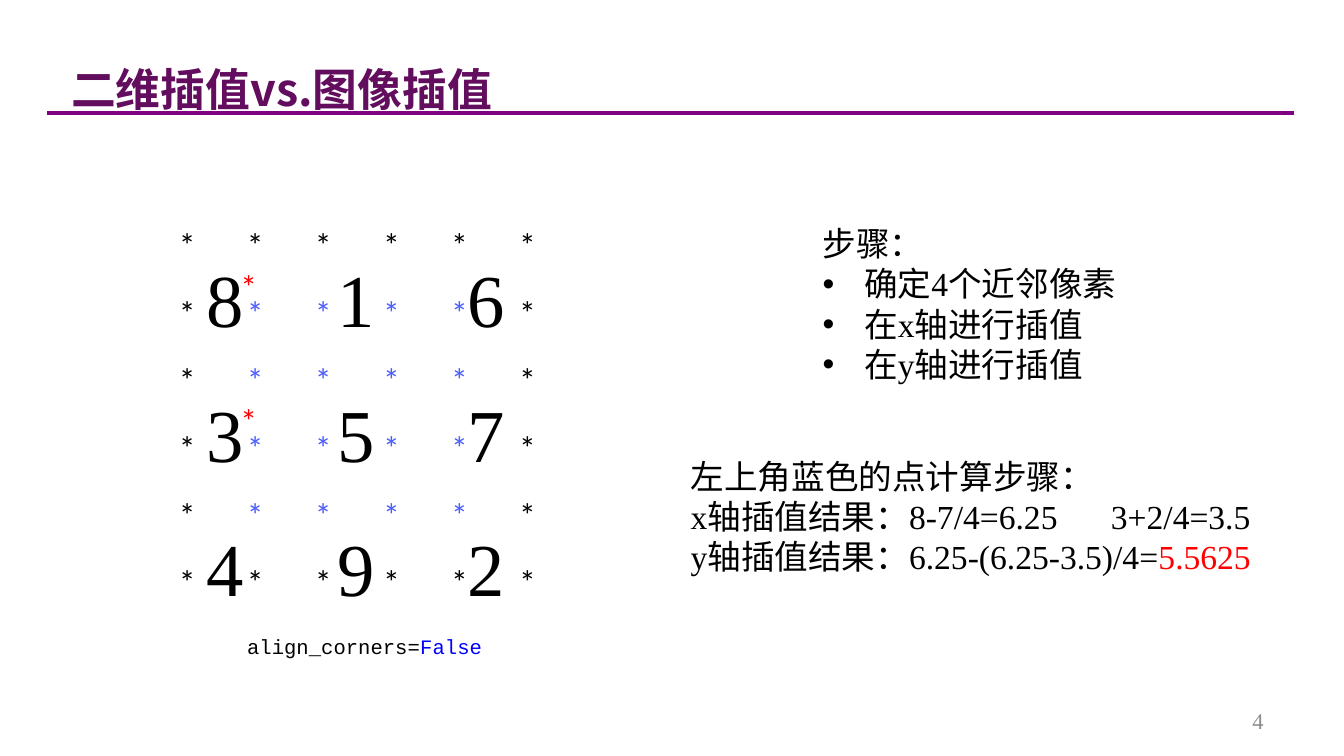
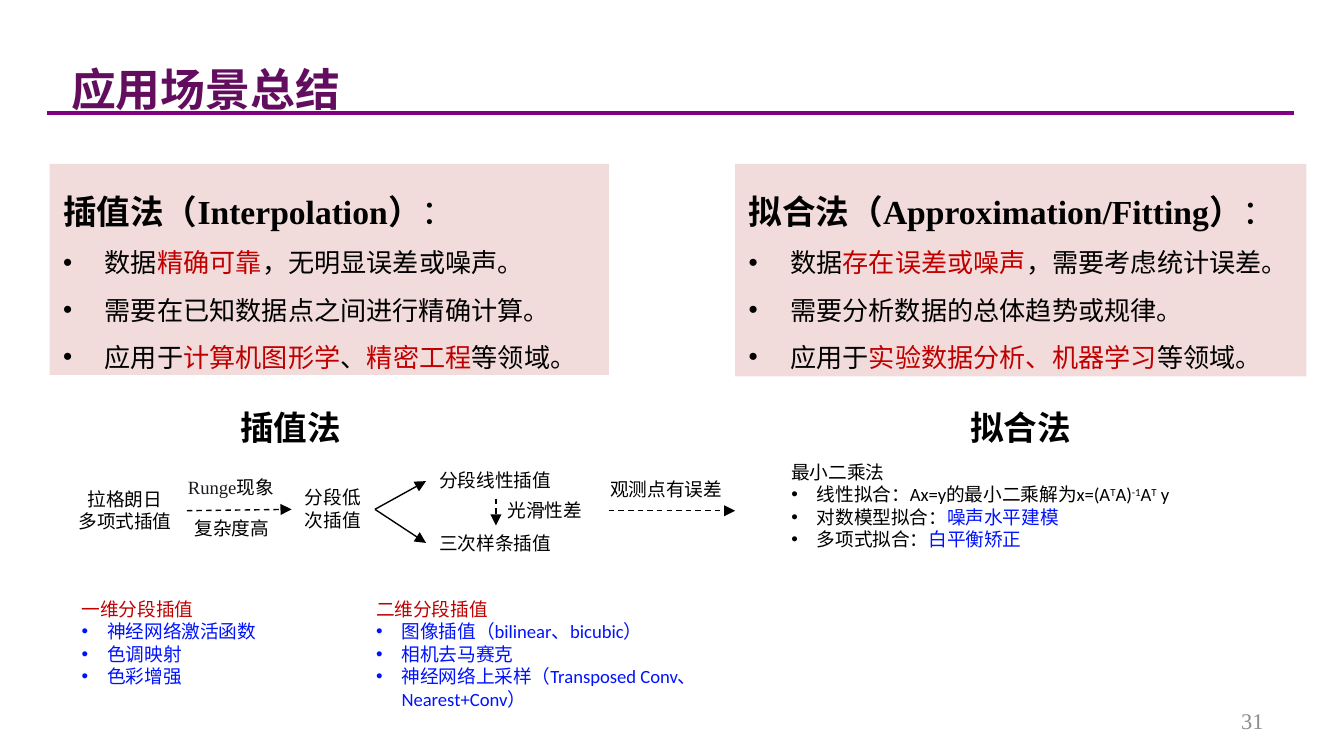
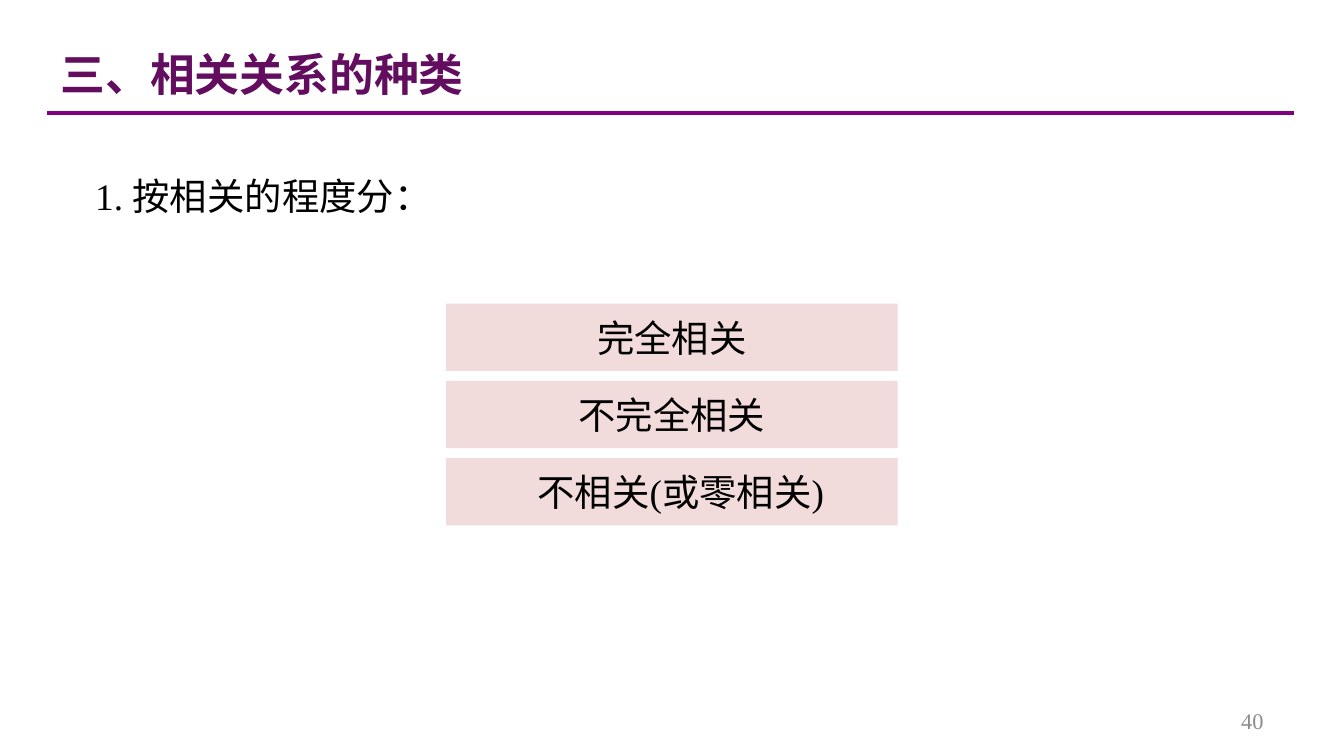
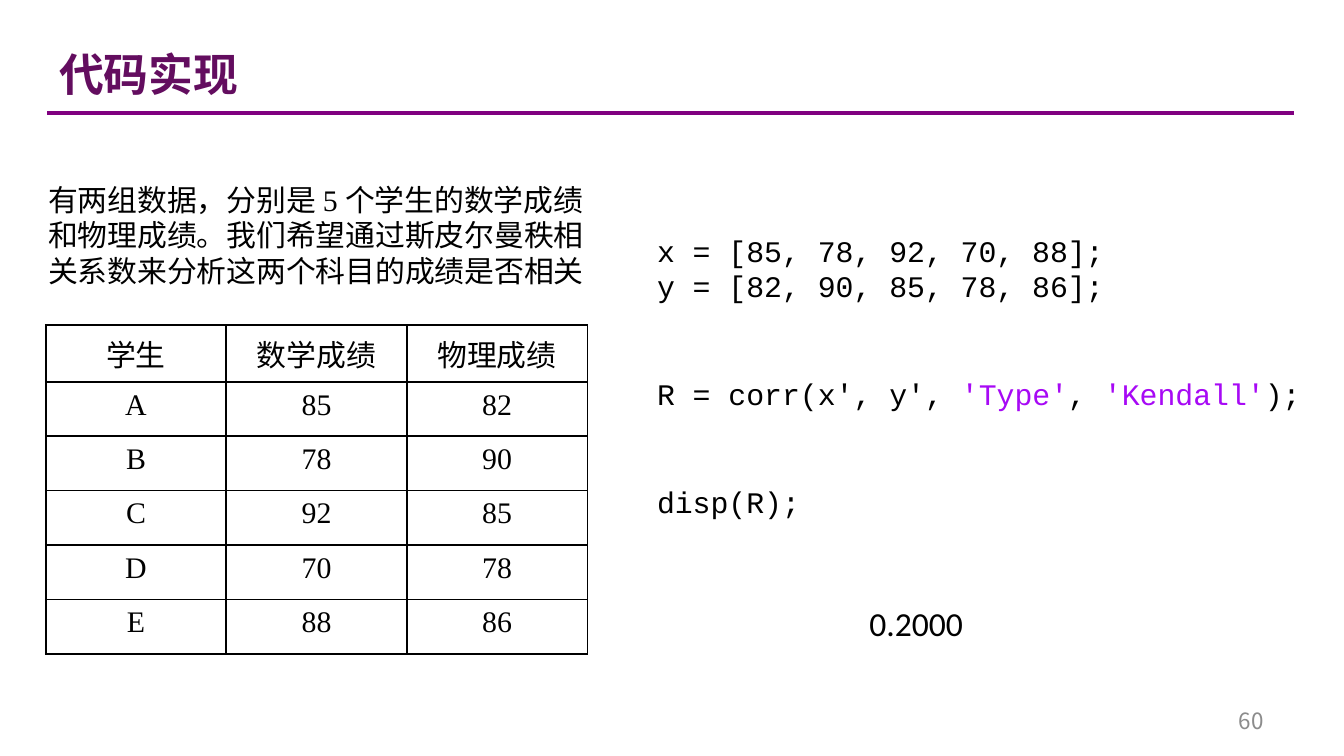
from lxml import etree
from pptx import Presentation
from pptx import util as u
from pptx.dml.color import RGBColor
from pptx.enum import dml, shapes, text
from pptx.oxml.ns import qn

C = dict(title="630D5F", rule="800080", black="000000", grey="8C8C8C", panel="F2DCDB",
         red="FF0000", dark_red="C00000", blue="0012FE", star="4B5DFE", false="0000FF",
         string="A709F5", ink="191B1F")
TIMES, CALIBRI, MONO, CJK = "Times New Roman", "Calibri", "Courier New", "Noto Sans CJK SC"
NO_STYLE = "{2D5ABB26-0587-4C30-8999-92F81FD0307C}"
ALIGN = dict(l=text.PP_ALIGN.LEFT, c=text.PP_ALIGN.CENTER, r=text.PP_ALIGN.RIGHT)
LEADING = 1.2

HEAD = dict(size=18, font=TIMES, bold=True)
COLON = ("：", dict(size=18, font=TIMES))
SUP = dict(baseline=30000)


def tint(words, color):
    return words, dict(color=color)


def gap(points):
    return " ", dict(spc=points * 100)


SLIDES = [
    dict(layout=1, title="二维插值vs.图像插值", box=(0.43, 0.21, 4.02, 0.61), anchor="TOP", number="4"),
    dict(layout=3, title="应用场景总结", box=(0.43, 0.21, 4.02, 0.63), anchor="TOP", number="31"),
    dict(layout=5, title="三、相关关系的种类", box=(0.35, -0.18, 8.5, 1.25), anchor="MIDDLE", number="40"),
    dict(layout=5, title="代码实现", box=(0.34, -0.18, 10.09, 1.25), anchor="MIDDLE", number="60",
         number_font=CJK),
]

PIXELS = [[a, gap(40), b, gap(40), c] for a, b, c in ("816", "357", "492")]
STEPS = ["步骤：", "• 确定4个近邻像素", "• 在x轴进行插值", "• 在y轴进行插值"]
WORKING = ["左上角蓝色的点计算步骤：",
           ["x轴插值结果：8-7/4=6.25", gap(24), "3+2/4=3.5"],
           ["y轴插值结果：6.25-(6.25-3.5)/4=", tint("5.5625", "red")]]
ALIGN_FLAG = [["align_corners=", tint("False", "false")]]

PANELS = [
    ((0.37, 1.22, 4.16, 1.57),
     [[("插值法（Interpolation）", HEAD), COLON],
      ["• 数据", tint("精确可靠", "dark_red"), "，无明显误差或噪声。"],
      "• 需要在已知数据点之间进行精确计算。",
      ["• 应用于", tint("计算机图形学", "dark_red"), "、", tint("精密工程", "dark_red"), "等领域。"]]),
    ((5.47, 1.22, 4.25, 1.58),
     [[("拟合法（Approximation/Fitting）", HEAD), COLON],
      ["• 数据", tint("存在误差或噪声", "dark_red"), "，需要考虑统计误差。"],
      "• 需要分析数据的总体趋势或规律。",
      ["• 应用于", tint("实验数据分析、机器学习", "dark_red"), "等领域。"]]),
]
HEADINGS = [((1.69, 2.98, 0.96, 0.4), "插值法"), ((7.12, 2.98, 0.96, 0.4), "拟合法")]
FLOW_LABELS = [
    ((0.48, 3.58, 0.9, 0.44), ["拉格朗日", "多项式插值"], "c"),
    ((1.3, 3.49, 0.87, 0.27), [[("Runge", dict(font=TIMES, color="ink")), "现象"]], "l"),
    ((1.35, 3.8, 0.76, 0.27), ["复杂度高"], "l"),
    ((2.17, 3.57, 0.62, 0.44), ["分段低", "次插值"], "l"),
    ((3.17, 3.44, 1.04, 0.27), ["分段线性插值"], "l"),
    ((3.17, 3.91, 1.04, 0.27), ["三次样条插值"], "l"),
    ((3.68, 3.66, 0.76, 0.27), ["光滑性差"], "l"),
    ((4.31, 3.51, 1.29, 0.27), ["观测点有误差"], "c"),
]
FLOW_ARROWS = [
    ((1.39, 3.8), (2.17, 3.79), True),
    ((2.79, 3.79), (3.17, 3.58), False),
    ((2.79, 3.79), (3.17, 4.04), False),
    ((3.69, 3.71), (3.69, 3.91), True),
    ((4.53, 3.8), (5.47, 3.8), True),
]
NOTES = [
    ((5.79, 3.38, 3.24, 0.77),
     ["最小二乘法",
      ["• 线性拟合：Ax=y的最小二乘解为x=(A", ("T", SUP), "A)", ("-1", SUP), "A", ("T", SUP), " y"],
      ["• 对数模型拟合：", tint("噪声水平建模", "blue")],
      ["• 多项式拟合：", tint("白平衡矫正", "blue")]]),
    ((0.51, 4.4, 1.6, 0.77),
     [[tint("一维分段插值", "dark_red")]]
     + [[tint("• " + t, "blue")] for t in ("神经网络激活函数", "色调映射", "色彩增强")]),
    ((2.7, 4.4, 2.77, 0.94),
     [[tint("二维分段插值", "dark_red")]]
     + [[tint("• " + t, "blue")] for t in ("图像插值（bilinear、bicubic）", "相机去马赛克",
                                            "神经网络上采样（Transposed Conv、Nearest+Conv）")]),
]

DEGREES = [("完全相关", 0), ("不完全相关", 0), ("不相关(或零相关)", 0.13)]

QUESTION = "有两组数据，分别是 5 个学生的数学成绩和物理成绩。我们希望通过斯皮尔曼秩相关系数来分析这两个科目的成绩是否相关"
SCORES = [("学生", "数学成绩", "物理成绩"), ("A", "85", "82"), ("B", "78", "90"),
          ("C", "92", "85"), ("D", "70", "78"), ("E", "88", "86")]
CODE = ["x = [85, 78, 92, 70, 88];", "y = [82, 90, 85, 78, 86];",
        ["R = corr(x', y', ", tint("'Type'", "string"), ", ", tint("'Kendall'", "string"), ");"],
        "disp(R);"]


def rgb(name):
    return RGBColor.from_string(C[name])


def inches(values):
    return [u.Inches(v) for v in values]


def set_attrs(obj, **values):
    for name, value in values.items():
        setattr(obj, name, value)


def add_run(p, words, size, font, color="black", bold=False, **xml_attrs):
    r = p.add_run()
    r.text = words
    set_attrs(r.font, size=u.Pt(size), name=font, bold=bold)
    r.font.color.rgb = rgb(color)
    rpr = r.font._element
    etree.SubElement(rpr, qn("a:ea")).set("typeface", CJK)
    for name, value in xml_attrs.items():
        rpr.set(name, str(value))


def set_bullet(p, bulleted, size, margin):
    ppr = p._p.get_or_add_pPr()
    hang = (0.31 if size >= 14 else 0.19) if bulleted else 0
    ppr.set("marL", str(u.Inches(hang + margin)))
    ppr.set("indent", str(-u.Inches(hang)))
    if bulleted:
        etree.SubElement(ppr, qn("a:buFont")).set("typeface", "Arial")
        etree.SubElement(ppr, qn("a:buChar")).set("char", "•")
    else:
        etree.SubElement(ppr, qn("a:buNone"))


def write(sp, paras, size, font, color="black", bold=False, align="l", spacing=1,
          anchor="TOP", wrap=True, margin=0, gaps=()):
    tf = sp.text_frame
    set_attrs(tf, word_wrap=wrap, auto_size=text.MSO_AUTO_SIZE.NONE,
              vertical_anchor=text.MSO_ANCHOR[anchor],
              **dict(zip(("margin_left", "margin_top", "margin_right", "margin_bottom"),
                         inches((0.1, 0.05, 0.1, 0.05)))))
    base = dict(size=size, font=font, color=color, bold=bold)
    for i, para in enumerate(paras):
        p = tf.add_paragraph() if i else tf.paragraphs[0]
        parts = [q if isinstance(q, tuple) else (q, {})
                 for q in (para if isinstance(para, list) else [para])]
        set_bullet(p, parts[0][0].startswith("• "), size, margin)
        tallest = max(f.get("size", size) for _, f in parts)
        set_attrs(p, alignment=ALIGN[align], space_after=u.Pt(0),
                  space_before=u.Pt(gaps[i] if gaps else 0),
                  line_spacing=u.Pt(round(tallest * LEADING * spacing, 1)))
        for words, fmt in parts:
            add_run(p, words.removeprefix("• "), **{**base, **fmt})


def add_text(s, box, paras, size, font, **fmt):
    write(s.shapes.add_textbox(*inches(box)), paras, size, font, **fmt)


def fill_placeholder(sp, box, paras, size, font, **fmt):
    set_attrs(sp, **dict(zip(("left", "top", "width", "height"), inches(box))))
    write(sp, paras, size, font, **fmt)


def add_line(s, start, end, color="black", width=0.75, dashed=False, arrow=True):
    cxn = s.shapes.add_connector(shapes.MSO_CONNECTOR.STRAIGHT, *inches(start + end))
    cxn.line.color.rgb = rgb(color)
    cxn.line.width = u.Pt(width)
    if dashed:
        cxn.line.dash_style = dml.MSO_LINE.DASH
    if arrow:
        etree.SubElement(cxn.line._get_or_add_ln(), qn("a:tailEnd")).set("type", "triangle")
    etree.SubElement(cxn._element.spPr, qn("a:effectLst"))
    return cxn


def add_grid(s, box, rows, size, font, color_at=lambda i, j: "black", border=None):
    tbl = s.shapes.add_table(len(rows), len(rows[0]), *inches(box)).table
    set_attrs(tbl, first_row=False, horz_banding=False)
    tbl._tbl.tblPr.find(qn("a:tableStyleId")).text = NO_STYLE
    for i, row in enumerate(rows):
        for j, words in enumerate(row):
            cell = tbl.cell(i, j)
            p = cell.text_frame.paragraphs[0]
            p.alignment = ALIGN["c"]
            add_run(p, words, size, font, color_at(i, j))
            if border:
                add_borders(cell, border)
            cell.fill.background()


def add_borders(cell, width):
    tcpr = cell._tc.get_or_add_tcPr()
    for side in "LRTB":
        ln = etree.SubElement(tcpr, qn("a:ln" + side))
        ln.set("w", str(u.Pt(width)))
        fill = etree.SubElement(ln, qn("a:solidFill"))
        etree.SubElement(fill, qn("a:srgbClr")).set("val", C["black"])


def new_slide(prs, layout, title, box, anchor, number, number_font=TIMES):
    s = prs.slides.add_slide(prs.slide_layouts[layout])
    fill_placeholder(s.shapes.title, box, [title], 24, CJK, color="title", bold=True,
                     spacing=1.5, anchor=anchor)
    add_text(s, (7.17, 5.21, 2.33, 0.3), [number], 12, number_font, color="grey",
             align="r", anchor="MIDDLE")
    return s


def build_interpolation(s):
    add_text(s, (1.44, 1.5, 2.78, 3.01), PIXELS, 40, TIMES, spacing=1.5)
    n = 6

    def star_color(i, j):
        return "star" if 0 < i < n - 1 and 0 < j < n - 1 else "black"

    add_grid(s, (1.14, 1.63, 3.04, 3.01), ["*" * n] * n, 18, CALIBRI, star_color)
    fill_placeholder(s.placeholders[1], (6.02, 1.61, 2.41, 1.31), STEPS, 18, TIMES)
    add_text(s, (5.04, 3.34, 4.39, 1.01), WORKING, 18, TIMES)
    for top in (1.93, 2.93):
        add_text(s, (1.69, top, 0.33, 0.4), ["*"], 18, CALIBRI, color="red")
    add_text(s, (1.74, 4.67, 2.05, 0.29), ALIGN_FLAG, 11, MONO)


def build_summary(s):
    for idx, (box, paras) in enumerate(PANELS, 1):
        sp = s.placeholders[idx]
        fill_placeholder(sp, box, paras, 14, CALIBRI, spacing=1.5)
        sp.fill.solid()
        sp.fill.fore_color.rgb = rgb("panel")
    for box, words in HEADINGS:
        add_text(s, box, [words], 18, CALIBRI, bold=True, wrap=False)
    for box, paras, align in FLOW_LABELS:
        add_text(s, box, paras, 10, CALIBRI, align=align, wrap=False)
    for start, end, dashed in FLOW_ARROWS:
        add_line(s, start, end, dashed=dashed)
    for box, paras in NOTES:
        add_text(s, box, paras, 10, CALIBRI)


def build_degrees(s):
    add_text(s, (0.61, 1.07, 2.73, 0.56), ["1. 按相关的程度分："], 20, TIMES, spacing=1.5)
    for i, (words, margin) in enumerate(DEGREES):
        sp = s.shapes.add_shape(shapes.MSO_SHAPE.RECTANGLE,
                                *inches((3.32, 2.26 + i * 0.575, 3.36, 0.5)))
        sp.shadow.inherit = False
        sp.fill.solid()
        sp.fill.fore_color.rgb = rgb("panel")
        sp.line.fill.background()
        write(sp, [words], 20, TIMES, align="c", anchor="MIDDLE", margin=margin)


def build_code(s):
    add_grid(s, (0.34, 2.42, 4.03, 2.43), SCORES, 16, TIMES, border=1)
    add_text(s, (0.26, 1.3, 4.33, 0.91), [QUESTION], 16, TIMES)
    add_text(s, (4.79, 1.68, 5.21, 2.26), CODE, 16, MONO, gaps=(0, 0, 38.4, 38.4))
    add_text(s, (6.37, 4.44, 1.02, 0.4), ["0.2000"], 18, CALIBRI)


def main():
    prs = Presentation()
    width = u.Inches(10)
    set_attrs(prs, slide_width=width, slide_height=width * 9 // 16)
    builders = (build_interpolation, build_summary, build_degrees, build_code)
    for i, (page, build) in enumerate(zip(SLIDES, builders)):
        s = new_slide(prs, **page)
        if i == 0:
            rule = add_line(s, (0.35, 0.84), (9.63, 0.84), "rule", 2.25, arrow=False)
            prs.slide_master.shapes.element.append(rule._element)
        build(s)
    prs.save("out.pptx")


if __name__ == "__main__":
    main()
